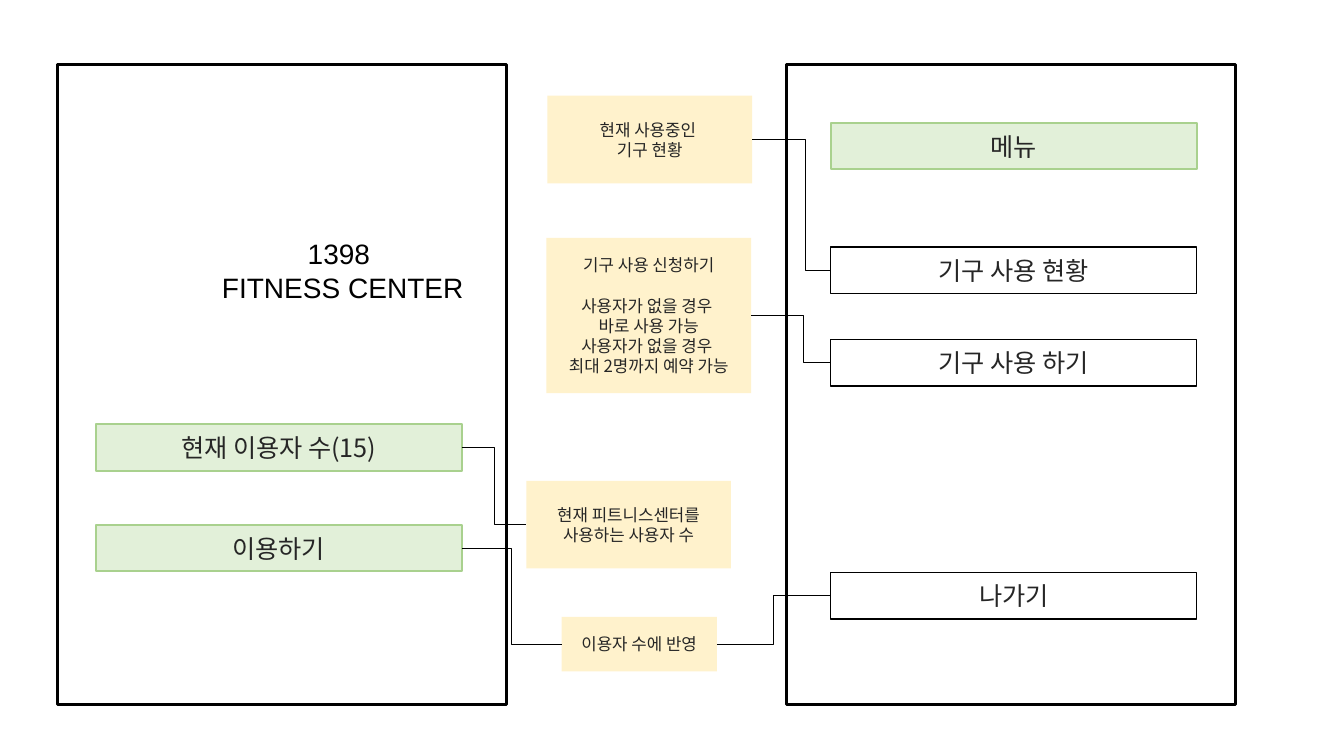
from lxml.etree import SubElement
from pptx import Presentation
from pptx.dml.color import RGBColor
from pptx.enum.shapes import MSO_CONNECTOR as Connector, MSO_SHAPE as Shape
from pptx.enum.text import MSO_ANCHOR as Anchor, MSO_AUTO_SIZE as AutoSize, PP_ALIGN as Align
from pptx.oxml.ns import qn
from pptx.util import Inches, Pt

KOREAN_FONT = "Noto Sans CJK KR"
PANEL_WIDTH, PANEL_HEIGHT = 4.45, 6.35
BUTTON_WIDTH, BUTTON_HEIGHT = 3.63, 0.46
GREEN = ("E2F0D9", "A9D18E", 1.5)
WHITE = ("FFFFFF", "000000", 1)


def color(value):
    return RGBColor.from_string(value)


def write_text(shape, lines, size, font_name, text_color, anchor):
    frame = shape.text_frame
    frame.word_wrap = True
    frame.auto_size = AutoSize.NONE
    frame.vertical_anchor = anchor
    frame.text = "\n".join(lines)
    for paragraph in frame.paragraphs:
        paragraph.alignment = Align.CENTER
        font = paragraph.font
        font.size = Pt(size)
        font.color.rgb = color(text_color)
        font.name = font_name
        defaults = paragraph._p.pPr.find(qn("a:defRPr"))
        SubElement(defaults, qn("a:ea"), typeface=font_name)


def add_box(slide, left, top, width, height, fill=None, line=None, weight=1):
    shape = slide.shapes.add_shape(
        Shape.RECTANGLE, Inches(left), Inches(top), Inches(width), Inches(height))
    shape.shadow.inherit = False
    if fill:
        shape.fill.solid()
        shape.fill.fore_color.rgb = color(fill)
    else:
        shape.fill.background()
    if line:
        shape.line.color.rgb = color(line)
        shape.line.width = Pt(weight)
    else:
        shape.line.fill.background()
    return shape


def add_panel(slide, left, top, inset, buttons):
    add_box(slide, left, top, PANEL_WIDTH, PANEL_HEIGHT, line="000000", weight=2.25)
    shapes = []
    for label, offset, style in buttons:
        button = add_box(slide, left + inset, top + offset, BUTTON_WIDTH, BUTTON_HEIGHT, *style)
        write_text(button, [label], 18, KOREAN_FONT, "262626", Anchor.MIDDLE)
        shapes.append(button)
    return shapes


def add_title(slide, left, top, width, height, lines):
    title = slide.shapes.title
    title.left, title.top = Inches(left), Inches(top)
    title.width, title.height = Inches(width), Inches(height)
    write_text(title, lines, 20, "Arial", "000000", Anchor.TOP)


def add_note(slide, left, top, width, height, lines):
    note = add_box(slide, left, top, width, height, "FFF2CC")
    write_text(note, lines, 12, KOREAN_FONT, "262626", Anchor.MIDDLE)
    return note


def add_link(slide, start, end, bend=0.5):
    link = slide.shapes.add_connector(
        Connector.ELBOW,
        start.left + start.width, start.top + start.height // 2,
        end.left, end.top + end.height // 2)
    link.begin_connect(start, 3)
    link.end_connect(end, 1)
    link.line.color.rgb = color("000000")
    link.line.width = Pt(0.5)
    properties = link._element.spPr
    SubElement(properties, qn("a:effectLst"))
    guides = properties.find(qn("a:prstGeom")).find(qn("a:avLst"))
    SubElement(guides, qn("a:gd"), name="adj1", fmla=f"val {round(bend * 100000)}")


def build_slide(presentation):
    slide = presentation.slides.add_slide(presentation.slide_layouts[5])
    users, enter = add_panel(slide, 0.57, 0.64, 0.38, [
        ("현재 이용자 수(15)", 3.57, GREEN),
        ("이용하기", 4.57, GREEN),
    ])
    add_title(slide, 1.78, 2.3, 3.24, 0.77, ["1398 ", "FITNESS CENTER"])
    menu, status, use, leave = add_panel(slide, 7.8, 0.64, 0.44, [
        ("메뉴", 0.58, GREEN),
        ("기구 사용 현황", 1.81, WHITE),
        ("기구 사용 하기", 2.73, WHITE),
        ("나가기", 5.04, WHITE),
    ])

    users_note = add_note(slide, 5.22, 4.77, 2.03, 0.87, ["현재 피트니스센터를 사용하는 사용자 수"])
    count_note = add_note(slide, 5.57, 6.12, 1.54, 0.54, ["이용자 수에 반영"])
    status_note = add_note(slide, 5.43, 0.95, 2.03, 0.87, ["현재 사용중인 ", "기구 현황"])
    use_note = add_note(slide, 5.42, 2.36, 2.03, 1.54, [
        "기구 사용 신청하기",
        "사용자가 없을 경우 ",
        "바로 사용 가능",
        "사용자가 없을 경우 ",
        "최대 2명까지 예약 가능",
    ])
    use_note.text_frame.paragraphs[0].space_after = Pt(14.4)

    add_link(slide, users, users_note)
    add_link(slide, enter, count_note)
    add_link(slide, count_note, leave)
    add_link(slide, status_note, status, 0.68)
    add_link(slide, use_note, use, 0.66)


def main():
    presentation = Presentation()
    presentation.slide_width = Inches(13.33)
    presentation.slide_height = Inches(7.5)
    build_slide(presentation)
    presentation.save("out.pptx")


if __name__ == "__main__":
    main()
